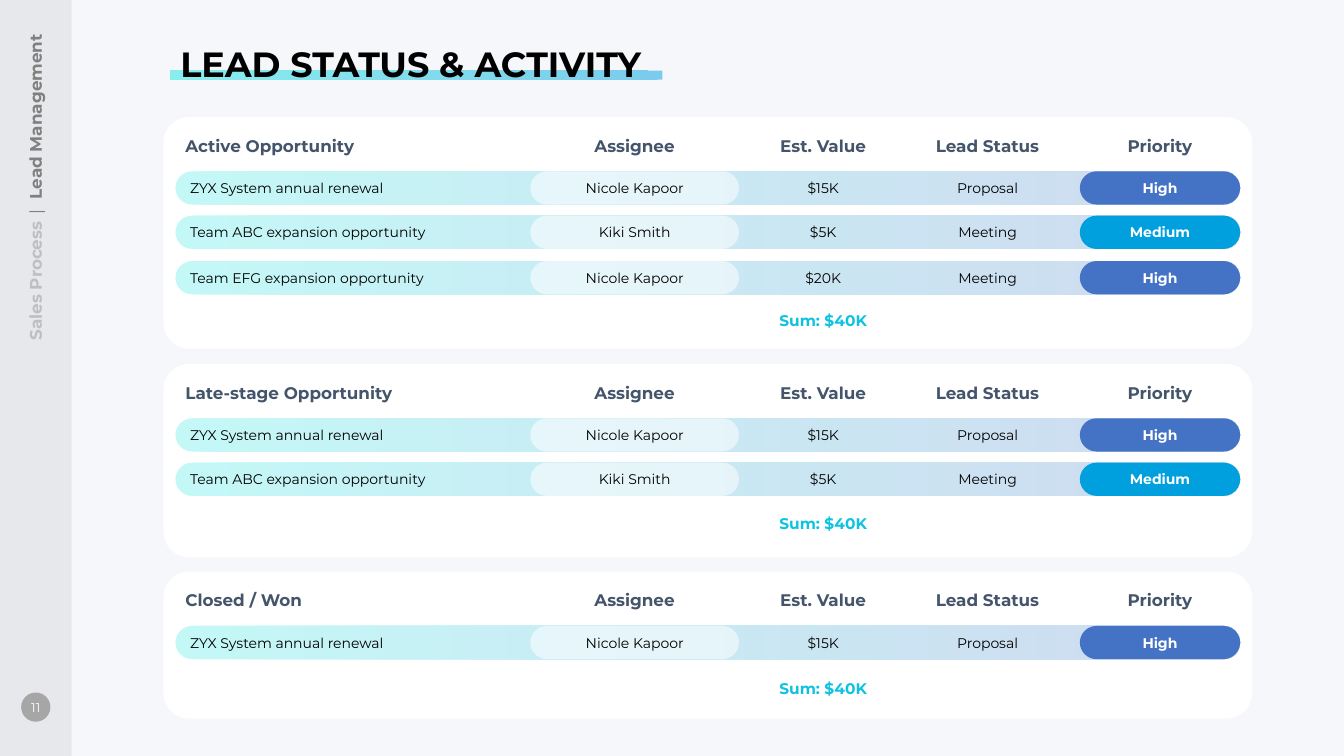
from dataclasses import dataclass

from lxml import etree
from pptx import Presentation
from pptx import util as u
from pptx.dml.color import RGBColor
from pptx.enum import shapes, text
from pptx.oxml.ns import qn

PX = 9144  # EMU, so 100 px make an inch


@dataclass(frozen=True)
class Theme:
    font: str = "Montserrat"
    backdrop: str = "F6F7FB"
    white: str = "FFFFFF"
    black: str = "000000"
    sidebar: str = "404040"
    badge: str = "A6A6A6"
    muted: str = "BFBFBF"
    crumb: str = "808080"
    heading: str = "44546A"
    total: str = "0FC3E0"
    cyan: str = "1DE5E2"
    sky: str = "00A0DE"
    blue: str = "4472C4"
    title_size: int = 25
    heading_size: int = 12
    total_size: int = 11
    body_size: int = 10
    number_size: int = 9


THEME = Theme()
PRIORITY_FILLS = {"High": THEME.blue, "Medium": THEME.sky}

CARD_LEFT, CARD_WIDTH, CARD_RADIUS = 162, 1080, 26
ROW_LEFT, ROW_WIDTH, ROW_HEIGHT = 174, 1056, 33
HEADING_WIDTH = 143
HEADING_OFFSET, ROWS_OFFSET = 12, 54
COLUMNS = [  # heading, left, width
    ("Assignee", 526, 207),
    ("Est. Value", 745, 143),
    ("Lead Status", 900, 159),
    ("Priority", 1071, 159),
]

RENEWAL = ("ZYX System annual renewal", "Nicole Kapoor", "$15K", "Proposal", "High")
TEAM_ABC = ("Team ABC expansion opportunity", "Kiki Smith", "$5K", "Meeting", "Medium")
TEAM_EFG = ("Team EFG expansion opportunity", "Nicole Kapoor", "$20K", "Meeting", "High")
CARDS = [  # heading, top, height, top of the sum, leads
    ("Active Opportunity", 116, 230, 301, [RENEWAL, TEAM_ABC, TEAM_EFG]),
    ("Late-stage Opportunity", 361, 192, 503, [RENEWAL, TEAM_ABC]),
    ("Closed / Won", 567, 146, 666, [RENEWAL]),
]


def emu(*lengths):
    return [u.Emu(length * PX) for length in lengths]


def set_opacity(shape, percent):
    for color in shape.element.spPr.iter(qn("a:srgbClr")):
        etree.SubElement(color, qn("a:alpha")).set("val", str(percent * 1000))


def add_block(parent, kind, bounds, fill=None, opacity=100, radius=None):
    """Draw a shape; fill is None, one colour, or a pair for a gradient."""
    shape = parent.shapes.add_shape(kind, *emu(*bounds))
    shape.shadow.inherit = False
    shape.line.fill.background()
    if radius is not None:
        shape.adjustments[0] = radius / bounds[3]
    if fill is None:
        shape.fill.background()
    elif isinstance(fill, tuple):
        shape.fill.gradient()
        shape.fill.gradient_angle = 0
        for stop, color in zip(shape.fill.gradient_stops, fill):
            stop.color.rgb = RGBColor.from_string(color)
    else:
        shape.fill.solid()
        shape.fill.fore_color.rgb = RGBColor.from_string(fill)
    if opacity < 100:
        set_opacity(shape, opacity)
    return shape


def add_pill(parent, bounds, fill=None, opacity=100):
    return add_block(parent, shapes.MSO_SHAPE.ROUNDED_RECTANGLE, bounds, fill,
                     opacity, radius=bounds[3] / 2)


def write(shape, spans, size, align=text.PP_ALIGN.CENTER, anchor=text.MSO_ANCHOR.MIDDLE):
    """Fill a shape with one paragraph of (words, colour, bold) spans."""
    frame = shape.text_frame
    frame.word_wrap = True
    frame.vertical_anchor = anchor
    para = frame.paragraphs[0]
    para.alignment = align
    for words, color, bold in spans:
        span = para.add_run()
        span.text = words
        for name, value in {"name": THEME.font, "size": u.Pt(size), "bold": bold}.items():
            setattr(span.font, name, value)
        span.font.color.rgb = RGBColor.from_string(color)
    return para


def add_label(page, bounds, spans, size, **layout):
    box = page.shapes.add_textbox(*emu(*bounds))
    write(box, spans, size, **layout)
    return box


def add_sidebar(page):
    add_block(page, shapes.MSO_SHAPE.RECTANGLE, (0, 0, 71, 750), THEME.sidebar, opacity=8)
    badge = add_block(page, shapes.MSO_SHAPE.OVAL, (21, 687, 29, 29), THEME.badge)
    for side in ("left", "right", "top", "bottom"):
        setattr(badge.text_frame, f"margin_{side}", 0)
    write(badge, [("11", THEME.white, False)], THEME.number_size)
    crumbs = [
        ("Sales Process", THEME.muted, True),
        (" | ", THEME.crumb, False),
        ("Lead Management", THEME.crumb, True),
    ]
    trail = add_label(page, (-132, 176, 334, 30), crumbs, THEME.heading_size,
                      align=text.PP_ALIGN.RIGHT, anchor=text.MSO_ANCHOR.TOP)
    trail.rotation = 270
    separator = trail.text_frame.paragraphs[0].runs[1]
    separator.font._element.set("spc", "200")


def add_title(page):
    stripe = add_block(page, shapes.MSO_SHAPE.RECTANGLE, (169, 70, 488, 9),
                       (THEME.cyan, THEME.sky), opacity=50)
    linear = next(stripe.element.spPr.iter(qn("a:lin")))
    radial = etree.Element(qn("a:path"))
    radial.set("path", "circle")
    focus = etree.SubElement(radial, qn("a:fillToRect"))
    for side in ("t", "r"):
        focus.set(side, "100000")
    linear.getparent().replace(linear, radial)
    add_label(page, (169, 37, 488, 52), [("LEAD STATUS & ACTIVITY", THEME.black, True)],
              THEME.title_size, align=text.PP_ALIGN.LEFT, anchor=text.MSO_ANCHOR.TOP)


def add_lead(page, top, lead):
    """Draw one lead as a group: a wide bar with a pill for each column."""
    name, *values = lead
    group = page.shapes.add_group_shape()
    bar = add_pill(group, (ROW_LEFT, top, ROW_WIDTH, ROW_HEIGHT),
                   (THEME.cyan, THEME.blue), opacity=25)
    write(bar, [(name, THEME.black, False)], THEME.body_size, align=text.PP_ALIGN.LEFT)
    for (heading, left, width), value in zip(COLUMNS, values):
        fill, opacity, color = None, 100, THEME.black
        if heading == "Assignee":
            fill, opacity = THEME.white, 55
        elif heading == "Priority":
            fill, color = PRIORITY_FILLS[value], THEME.white
        pill = add_pill(group, (left, top, width, ROW_HEIGHT), fill, opacity)
        write(pill, [(value, color, heading == "Priority")], THEME.body_size)


def add_card(page, heading, top, height, sum_top, leads):
    add_block(page, shapes.MSO_SHAPE.ROUNDED_RECTANGLE,
              (CARD_LEFT, top, CARD_WIDTH, height), THEME.white, radius=CARD_RADIUS)
    heading_top = top + HEADING_OFFSET
    add_label(page, (ROW_LEFT, heading_top, 276, ROW_HEIGHT),
              [(heading, THEME.heading, True)], THEME.heading_size, align=text.PP_ALIGN.LEFT)
    for title, left, width in COLUMNS:
        centred = left + (width - HEADING_WIDTH) // 2
        cell = add_pill(page, (centred, heading_top, HEADING_WIDTH, ROW_HEIGHT))
        write(cell, [(title, THEME.heading, True)], THEME.heading_size)
    for index, lead in enumerate(leads):
        add_lead(page, top + ROWS_OFFSET + index * 89 // 2, lead)
    _, left, width = COLUMNS[1]
    total = add_pill(page, (left, sum_top, width, ROW_HEIGHT))
    write(total, [("Sum: $40K", THEME.total, True)], THEME.total_size)


def main():
    deck = Presentation()
    deck.slide_width, deck.slide_height = emu(1333, 750)
    page = deck.slides.add_slide(deck.slide_layouts[6])
    page.background.fill.solid()
    page.background.fill.fore_color.rgb = RGBColor.from_string(THEME.backdrop)
    add_sidebar(page)
    add_title(page)
    for card in CARDS:
        add_card(page, *card)
    deck.save("out.pptx")


if __name__ == "__main__":
    main()
